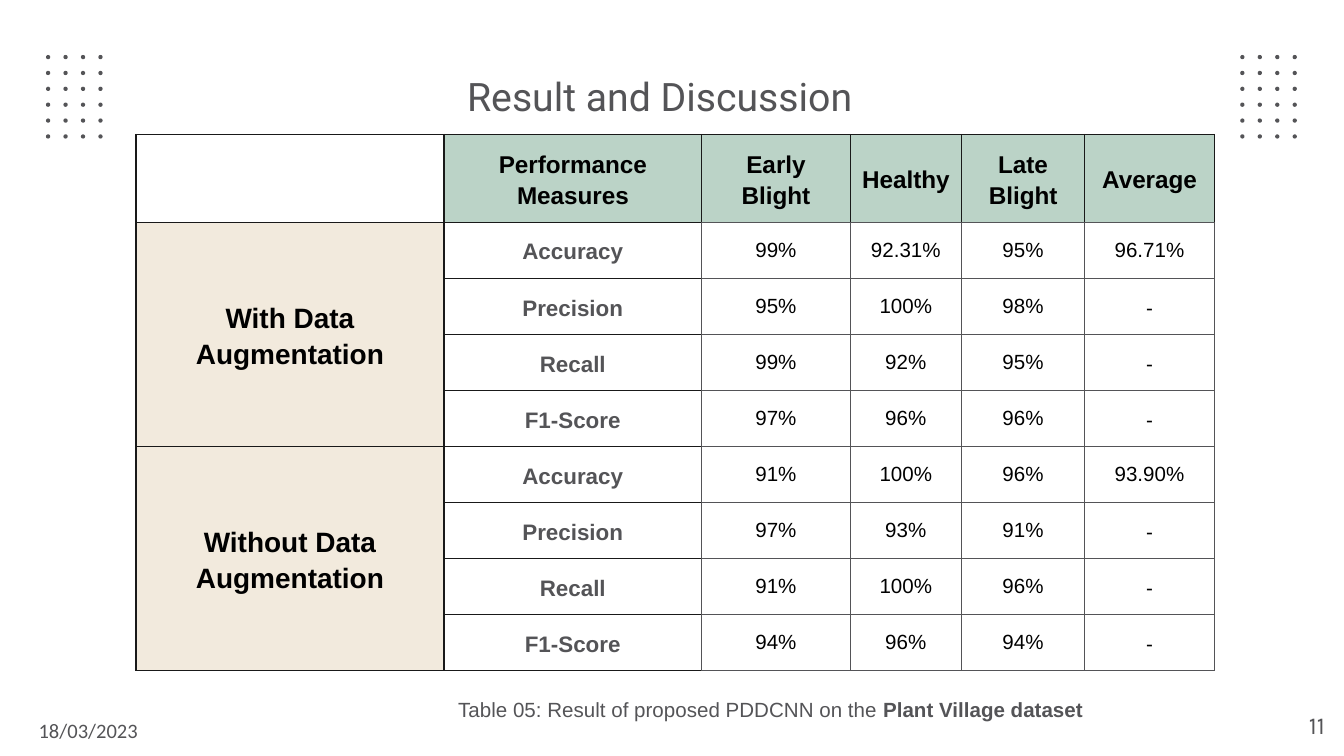
from itertools import product

from lxml.etree import SubElement
from pptx import Presentation
from pptx.dml.color import RGBColor
from pptx.enum.shapes import MSO_SHAPE as Shape
from pptx.enum.text import MSO_ANCHOR as Anchor, PP_ALIGN as Align
from pptx.oxml.ns import qn
from pptx.util import Cm, Pt

COLORS = {
    "grey": "545457",
    "black": "000000",
    "rule": "191919",
    "header": "BBD3C7",
    "group": "F2EADD",
}
MEASURES = ["Accuracy", "Precision", "Recall", "F1-Score"]
HEADINGS = ["Performance Measures", "Early Blight", "Healthy", "Late Blight", "Average"]
RESULTS = {
    "With Data Augmentation": [
        ["99%", "92.31%", "95%", "96.71%"],
        ["95%", "100%", "98%", "-"],
        ["99%", "92%", "95%", "-"],
        ["97%", "96%", "96%", "-"],
    ],
    "Without Data Augmentation": [
        ["91%", "100%", "96%", "93.90%"],
        ["97%", "93%", "91%", "-"],
        ["91%", "100%", "96%", "-"],
        ["94%", "96%", "94%", "-"],
    ],
}
COLUMN_WIDTHS = [5.82, 4.87, 2.81, 2.1, 2.33, 2.45]
HEADER_HEIGHT, ROW_HEIGHT = 1.66, 1.06


def color(name):
    """Return the named palette colour."""
    return RGBColor.from_string(COLORS[name])


def style(run, size, font="Arial", ink="grey", bold=False):
    """Set the font of one run."""
    run.font.size = Pt(size)
    run.font.name = font
    run.font.bold = bold
    run.font.color.rgb = color(ink)


def add_label(slide, left, top, width, height, text, size, font, align=Align.LEFT, inset=0.25):
    """Add a one-line text box and return its paragraph."""
    frame = slide.shapes.add_textbox(Cm(left), Cm(top), Cm(width), Cm(height)).text_frame
    frame.word_wrap = True
    frame.margin_left = frame.margin_right = Cm(0.25)
    frame.margin_top = frame.margin_bottom = Cm(inset)
    frame.text = text
    line = frame.paragraphs[0]
    line.alignment = align
    style(line.runs[0], size, font)
    return line


def add_dots(slide, left, top, columns=4, rows=6):
    """Add a grouped grid of small dots."""
    grid = slide.shapes.add_group_shape()
    for row, column in product(range(rows), range(columns)):
        dot = grid.shapes.add_shape(
            Shape.OVAL, Cm(left + column * 0.33), Cm(top + row * 0.3), Cm(0.08), Cm(0.08))
        dot.shadow.inherit = False
        dot.fill.solid()
        dot.fill.fore_color.rgb = color("grey")
        dot.line.fill.background()


def set_borders(cell, **sides):
    """Draw the four cell borders, dark unless a side names its colour."""
    properties = cell._tc.get_or_add_tcPr()
    for side in "LRTB":
        border = SubElement(properties, qn(f"a:ln{side}"), w=str(Pt(0.75)))
        fill = SubElement(border, qn("a:solidFill"))
        SubElement(fill, qn("a:srgbClr"), val=COLORS[sides.get(side, "rule")])


def fill_cell(cell, text, size, ink="black", bold=True, fill=None, inset=0.18, anchor=Anchor.MIDDLE):
    """Write centred text in a cell and set its fill."""
    if fill:
        cell.fill.solid()
        cell.fill.fore_color.rgb = color(fill)
    else:
        cell.fill.background()
    cell.margin_left = cell.margin_right = cell.margin_top = cell.margin_bottom = Cm(inset)
    cell.vertical_anchor = anchor
    cell.text = text
    line = cell.text_frame.paragraphs[0]
    line.alignment = Align.CENTER
    line.line_spacing = 1.15
    for run in line.runs:
        style(run, size, ink=ink, bold=bold)


def add_value(cell, value):
    """Write one score, or a dash where there is none."""
    set_borders(cell, L="grey", R="grey", T="grey", B="grey")
    if value == "-":
        fill_cell(cell, value, 11, bold=False)
    else:
        fill_cell(cell, value, 11, bold=False, inset=0.25, anchor=Anchor.TOP)


def add_results(slide, left, top):
    """Add the table of scores with and without augmentation."""
    row_count = 1 + len(RESULTS) * len(MEASURES)
    table = slide.shapes.add_table(
        row_count, len(COLUMN_WIDTHS), Cm(left), Cm(top), Cm(sum(COLUMN_WIDTHS)),
        Cm(HEADER_HEIGHT + (row_count - 1) * ROW_HEIGHT)).table
    table.first_row = table.horz_banding = False
    for column, width in zip(table.columns, COLUMN_WIDTHS):
        column.width = Cm(width)
    for number, row in enumerate(table.rows):
        row.height = Cm(ROW_HEIGHT if number else HEADER_HEIGHT)

    set_borders(table.cell(0, 0))
    fill_cell(table.cell(0, 0), "", 13)
    for column, heading in enumerate(HEADINGS, 1):
        cell = table.cell(0, column)
        set_borders(cell, B="rule" if column == 1 else "grey")
        fill_cell(cell, heading, 13, fill="header")

    for group, (title, scores) in enumerate(RESULTS.items()):
        first = 1 + group * len(MEASURES)
        for row, (measure, values) in enumerate(zip(MEASURES, scores), first):
            set_borders(table.cell(row, 0))
            set_borders(table.cell(row, 1), R="grey")
            fill_cell(table.cell(row, 1), measure, 12, ink="grey")
            for column, value in enumerate(values, 2):
                add_value(table.cell(row, column), value)
        table.cell(first, 0).merge(table.cell(first + len(MEASURES) - 1, 0))
        fill_cell(table.cell(first, 0), title, 15, fill="group")


def main():
    """Build the results slide and save it."""
    deck = Presentation()
    deck.slide_width, deck.slide_height = Cm(25.4), Cm(14.29)
    slide = deck.slides.add_slide(deck.slide_layouts[6])
    add_label(slide, 0.48, 13.33, 4.98, 0.98, "18/03/2023", 11, "Calibri")
    for left in (0.87, 23.44):
        add_dots(slide, left, 1.04)
    add_label(slide, 1.6, 1.37, 21.92, 1.6, "Result and Discussion ", 21, "Roboto", Align.CENTER, 0)
    add_label(slide, 23.77, 13.18, 1.52, 1.09, "11", 13, "Karla", Align.RIGHT)
    add_results(slide, 2.57, 2.54)
    caption = add_label(slide, 8.41, 12.95, 13.34, 0.98,
                        "Table 05: Result of proposed PDDCNN on the ", 11, "Arial")
    dataset = caption.add_run()
    dataset.text = "Plant Village dataset"
    style(dataset, 11, bold=True)
    deck.save("out.pptx")


if __name__ == "__main__":
    main()
